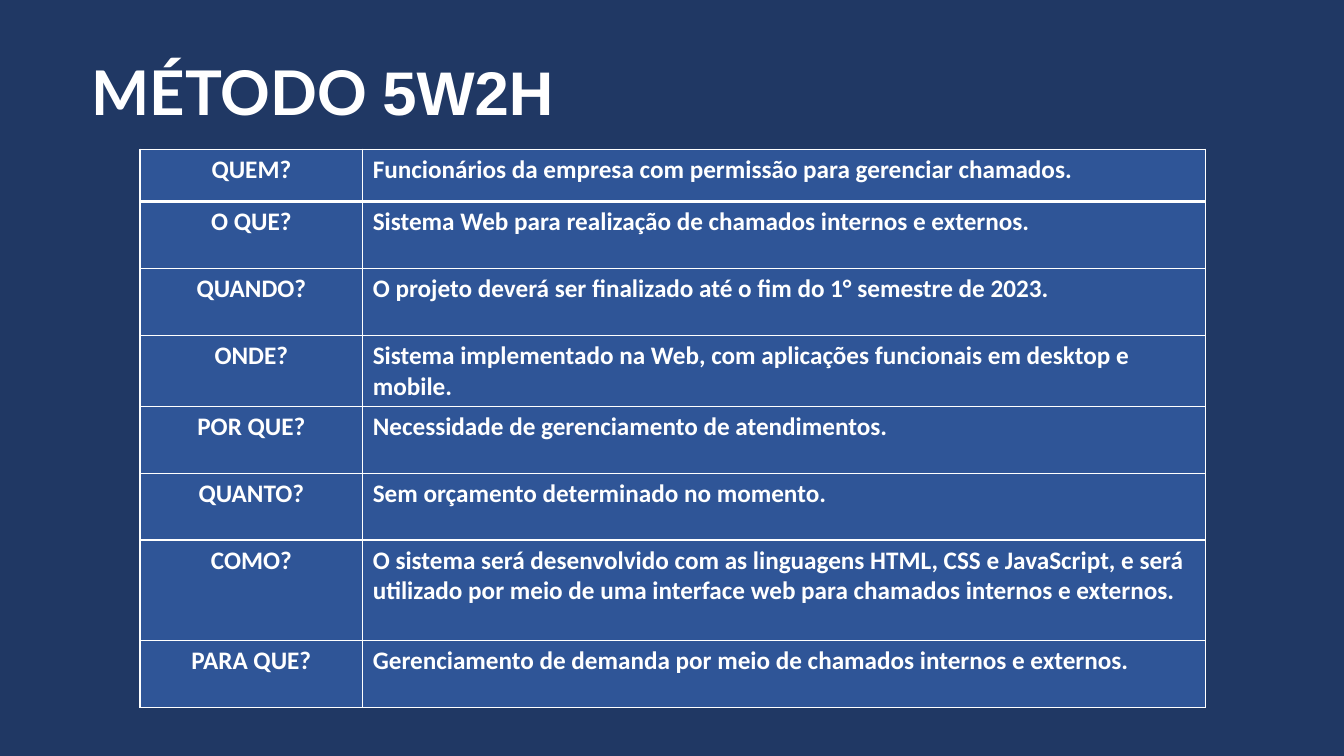
from dataclasses import dataclass

from lxml.etree import SubElement
from pptx import Presentation
from pptx.dml.color import RGBColor as Color
from pptx.enum.text import PP_ALIGN as Align
from pptx.oxml.ns import qn
from pptx.util import Inches, Pt


@dataclass(frozen=True)
class Theme:
    background: str = "203864"
    cell: str = "2F5597"
    ink: str = "FFFFFF"
    title_size: int = 44
    cell_size: int = 18
    cell_font: str = "Calibri"
    thin: int = 1
    thick: int = 3


THEME = Theme()
SLIDE_WIDTH, SLIDE_HEIGHT = Inches(13.333), Inches(7.5)
GRID_COLUMNS, GRID_ROWS = 96, 54

TITLE_AREA = (5.83, 3.53, 85.61, 8.21)
TITLE_SPANS = [("MÉTODO ", "Lato"), ("5W2H", "Arial")]

TABLE_CORNER = (10, 10.66)
TABLE_COLUMNS = (15.91, 60.19)
HEADER_ROW, PLAIN_ROW, WRAPPED_ROW, TALL_ROW = 3.74, 4.78, 5.06, 7.2
ANSWERS = [
    ("QUEM?", "Funcionários da empresa com permissão para gerenciar chamados.", HEADER_ROW),
    ("O QUE?", "Sistema Web para realização de chamados internos e externos.", PLAIN_ROW),
    ("QUANDO?", "O projeto deverá ser finalizado até o fim do 1° semestre de 2023.", PLAIN_ROW),
    ("ONDE?", "Sistema implementado na Web, com aplicações funcionais em desktop e mobile.", WRAPPED_ROW),
    ("POR QUE?", "Necessidade de gerenciamento de atendimentos.", PLAIN_ROW),
    ("QUANTO?", "Sem orçamento determinado no momento.", PLAIN_ROW),
    ("COMO?", "O sistema será desenvolvido com as linguagens HTML, CSS e JavaScript, e será "
     "utilizado por meio de uma interface web para chamados internos e externos.", TALL_ROW),
    ("PARA QUE?", "Gerenciamento de demanda por meio de chamados internos e externos.", PLAIN_ROW),
]


def across(columns):
    return round(SLIDE_WIDTH * columns / GRID_COLUMNS)


def down(rows):
    return round(SLIDE_HEIGHT * rows / GRID_ROWS)


def style_span(span, font, size):
    span.font.name = font
    span.font.size = Pt(size)
    span.font.bold = True
    span.font.color.rgb = Color.from_string(THEME.ink)


def add_title(page):
    left, top, width, height = TITLE_AREA
    box = page.shapes.add_textbox(across(left), down(top), across(width), down(height))
    box.text_frame.word_wrap = True
    para = box.text_frame.paragraphs[0]
    for text, font in TITLE_SPANS:
        span = para.add_run()
        span.text = text
        style_span(span, font, THEME.title_size)


def add_borders(cell, top, bottom):
    properties = cell._tc.get_or_add_tcPr()
    for side, width in (("L", THEME.thin), ("R", THEME.thin), ("T", top), ("B", bottom)):
        line = SubElement(properties, qn(f"a:ln{side}"), w=str(Pt(width)))
        fill = SubElement(line, qn("a:solidFill"))
        SubElement(fill, qn("a:srgbClr"), val=THEME.ink)


def fill_cell(cell, text, align, top, bottom):
    add_borders(cell, top, bottom)
    cell.fill.solid()
    cell.fill.fore_color.rgb = Color.from_string(THEME.cell)
    cell.text_frame.text = text
    para = cell.text_frame.paragraphs[0]
    para.alignment = align
    style_span(para.runs[0], THEME.cell_font, THEME.cell_size)


def add_answers(page):
    left, top = TABLE_CORNER
    height = sum(row_height for _, _, row_height in ANSWERS)
    table = page.shapes.add_table(
        len(ANSWERS), len(TABLE_COLUMNS),
        across(left), down(top), across(sum(TABLE_COLUMNS)), down(height),
    ).table
    table.horz_banding = False
    for column, width in zip(table.columns, TABLE_COLUMNS):
        column.width = across(width)
    for index, (question, answer, row_height) in enumerate(ANSWERS):
        table.rows[index].height = down(row_height)
        upper = THEME.thick if index == 1 else THEME.thin
        lower = THEME.thick if index == 0 else THEME.thin
        fill_cell(table.cell(index, 0), question, Align.CENTER, upper, lower)
        fill_cell(table.cell(index, 1), answer, Align.LEFT, upper, lower)


def main():
    deck = Presentation()
    deck.slide_width, deck.slide_height = SLIDE_WIDTH, SLIDE_HEIGHT
    page = deck.slides.add_slide(deck.slide_layouts[6])
    page.background.fill.solid()
    page.background.fill.fore_color.rgb = Color.from_string(THEME.background)
    add_title(page)
    add_answers(page)
    deck.save("out.pptx")


if __name__ == "__main__":
    main()
